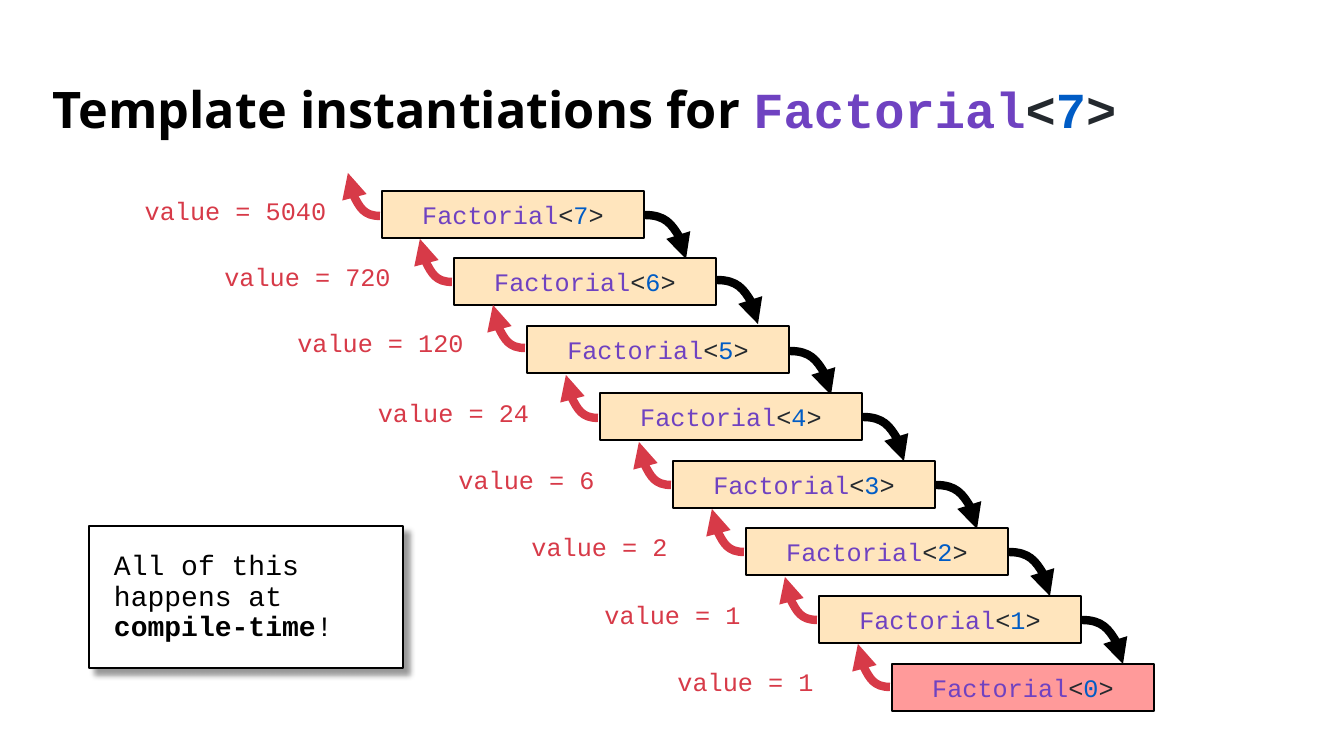
"""Build a slide that shows the chain of template instantiations for Factorial<7>."""
from lxml import etree
from pptx import Presentation
from pptx import util as u
from pptx.dml.color import RGBColor
from pptx.enum import shapes, text
from pptx.oxml import parse_xml
from pptx.oxml.ns import nsdecls, qn

PX = 914400 / 100.8
MONO = "Courier New"
BLACK, WHITE, RED = "000000", "FFFFFF", "D73A48"
PURPLE, DARK, BLUE = "6F42C1", "24292E", "005CC5"


def px(*values):
    return [u.Emu(round(v * PX)) for v in values]


def rgb(value):
    return RGBColor.from_string(value)


prs = Presentation()
prs.slide_width, prs.slide_height = px(1344, 756)
slide = prs.slides.add_slide(prs.slide_layouts[6])

sp = slide.shapes.add_textbox(*px(43, 70, 1257, 85))
tf = sp.text_frame
tf.word_wrap = True
tf.vertical_anchor = text.MSO_ANCHOR.MIDDLE
p = tf.paragraphs[0]
p.line_spacing = 0.9
p.font.size = u.Pt(36)
p.font.bold = True
for words, font, color in [("Template instantiations for ", "Open Sans", BLACK),
                           ("Factorial", MONO, PURPLE), ("<", MONO, DARK),
                           ("7", MONO, BLUE), (">", MONO, DARK)]:
    r = p.add_run()
    r.text = words
    r.font.name = font
    r.font.color.rgb = rgb(color)

values = [5040, 720, 120, 24, 6, 2, 1, 1]
return_ys = [216, 282, 348, 418, 485, 552, 620, 687]
call_ys = [215, 280, 351, 417, 485, 552, 620]
box_w, box_h = 262, 47

for i, value in enumerate(values):
    n = 7 - i
    left, top = 382 + 510 * i // 7, 191 + 473 * i // 7

    sp = slide.shapes.add_shape(shapes.MSO_SHAPE.RECTANGLE, *px(left, top, box_w, box_h))
    sp.shadow.inherit = False
    sp.fill.solid()
    sp.fill.fore_color.rgb = rgb("FFE5BD" if n else "FF9A9A")
    sp.line.color.rgb = rgb(BLACK)
    sp.line.width = u.Pt(1.5)
    tf = sp.text_frame
    tf.vertical_anchor = text.MSO_ANCHOR.MIDDLE
    p = tf.paragraphs[0]
    p.alignment = text.PP_ALIGN.CENTER
    p.font.name = MONO
    p.font.size = u.Pt(18)
    for words, color in [("Factorial", PURPLE), ("<", DARK), (str(n), BLUE), (">", DARK)]:
        r = p.add_run()
        r.text = words
        r.font.color.rgb = rgb(color)

    y = return_ys[i]
    arrows = [(RED, left - 2, y, left - 34, y - 43)]
    if n:
        x, call_y = left + box_w + 1, call_ys[i]
        arrows.append((BLACK, x, call_y, x + 41, call_y + 44))
    for color, *ends in arrows:
        c = slide.shapes.add_connector(shapes.MSO_CONNECTOR.CURVE, *px(*ends))
        c.line.color.rgb = rgb(color)
        c.line.width = u.Pt(6)
        sppr = c._element.spPr
        sppr.find(qn("a:prstGeom")).set("prst", "curvedConnector2")
        etree.SubElement(sppr.find(qn("a:ln")), qn("a:tailEnd"), type="triangle")
        etree.SubElement(sppr, qn("a:effectLst"))

    sp = slide.shapes.add_textbox(*px(left - 259, y - 29, 225, 43))
    tf = sp.text_frame
    tf.word_wrap = True
    tf.vertical_anchor = text.MSO_ANCHOR.MIDDLE
    p = tf.paragraphs[0]
    p.text = f"value = {value}"
    p.alignment = text.PP_ALIGN.CENTER
    p.line_spacing = 1.1
    p.font.name = MONO
    p.font.size = u.Pt(18)
    p.font.color.rgb = rgb(RED)

sp = slide.shapes.add_shape(shapes.MSO_SHAPE.RECTANGLE, *px(89, 526, 314, 142))
sp.fill.solid()
sp.fill.fore_color.rgb = rgb(WHITE)
sp.line.color.rgb = rgb(BLACK)
sp.line.width = u.Pt(1.5)
sp._element.spPr.append(parse_xml(
    f'<a:effectLst {nsdecls("a")}><a:outerShdw blurRad="50800" dist="76200" dir="2700000"'
    ' algn="tl" rotWithShape="0"><a:srgbClr val="000000"><a:alpha val="40000"/></a:srgbClr>'
    '</a:outerShdw></a:effectLst>'))
tf = sp.text_frame
tf.word_wrap = True
tf.vertical_anchor = text.MSO_ANCHOR.MIDDLE
tf.margin_left, tf.margin_top, tf.margin_right, tf.margin_bottom = px(25, 25, 25, 25)
p = tf.paragraphs[0]
p.alignment = text.PP_ALIGN.LEFT
p.line_spacing = 0.9
p.font.name = MONO
p.font.size = u.Pt(20)
p.font.color.rgb = rgb(BLACK)
for words, bold in [("All of this happens at ", False), ("compile-time", True), ("!", False)]:
    r = p.add_run()
    r.text = words
    r.font.bold = bold

prs.save("out.pptx")
